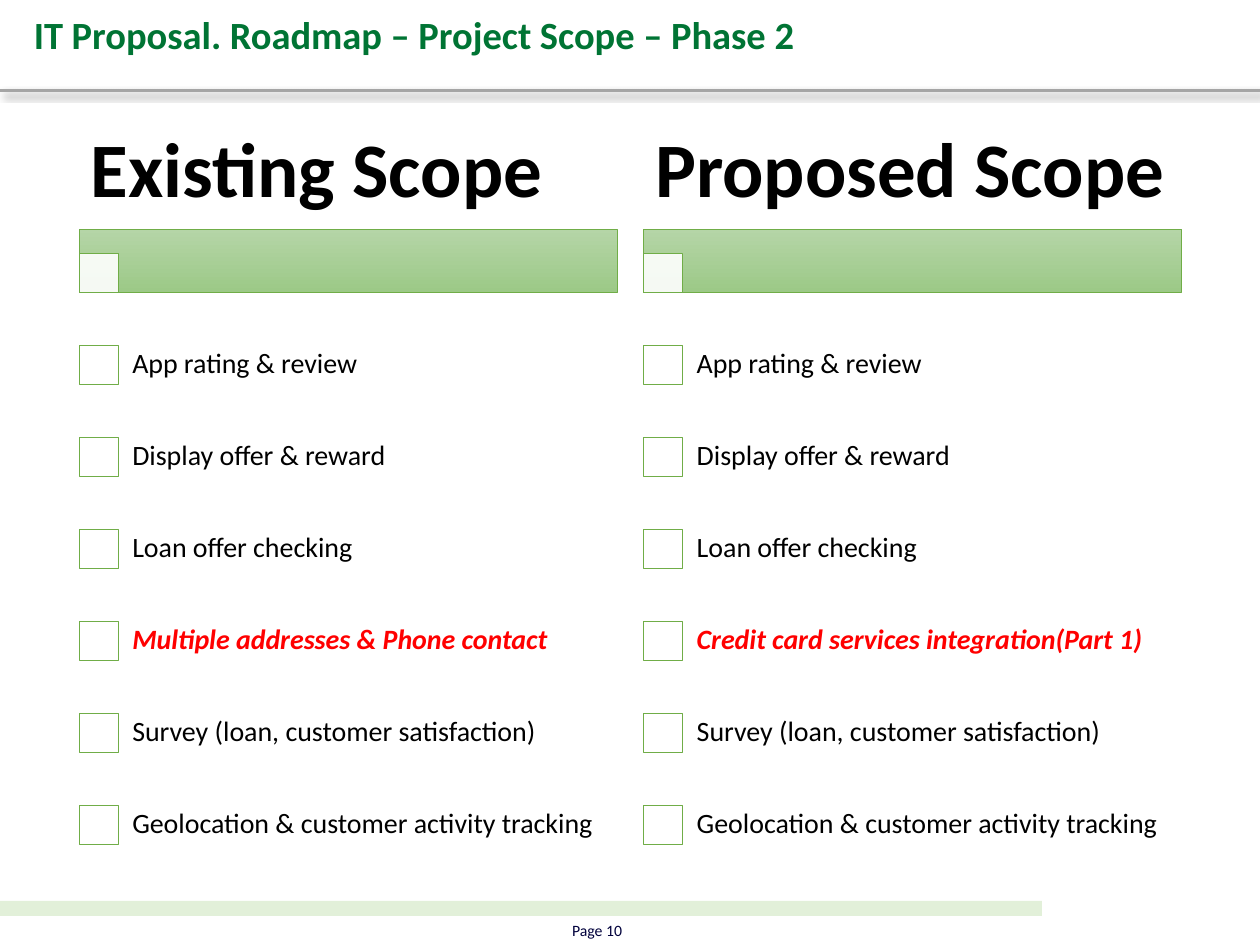
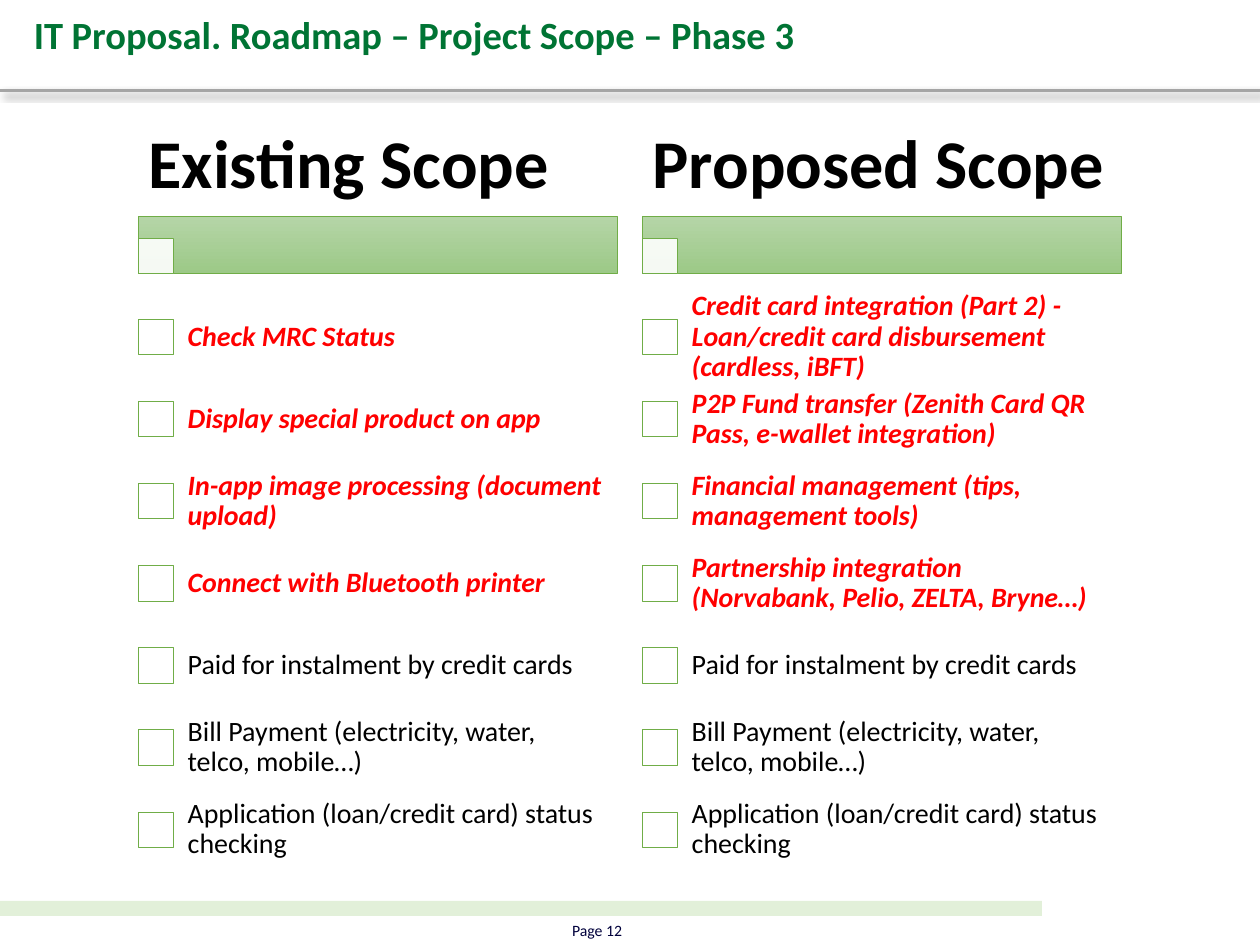
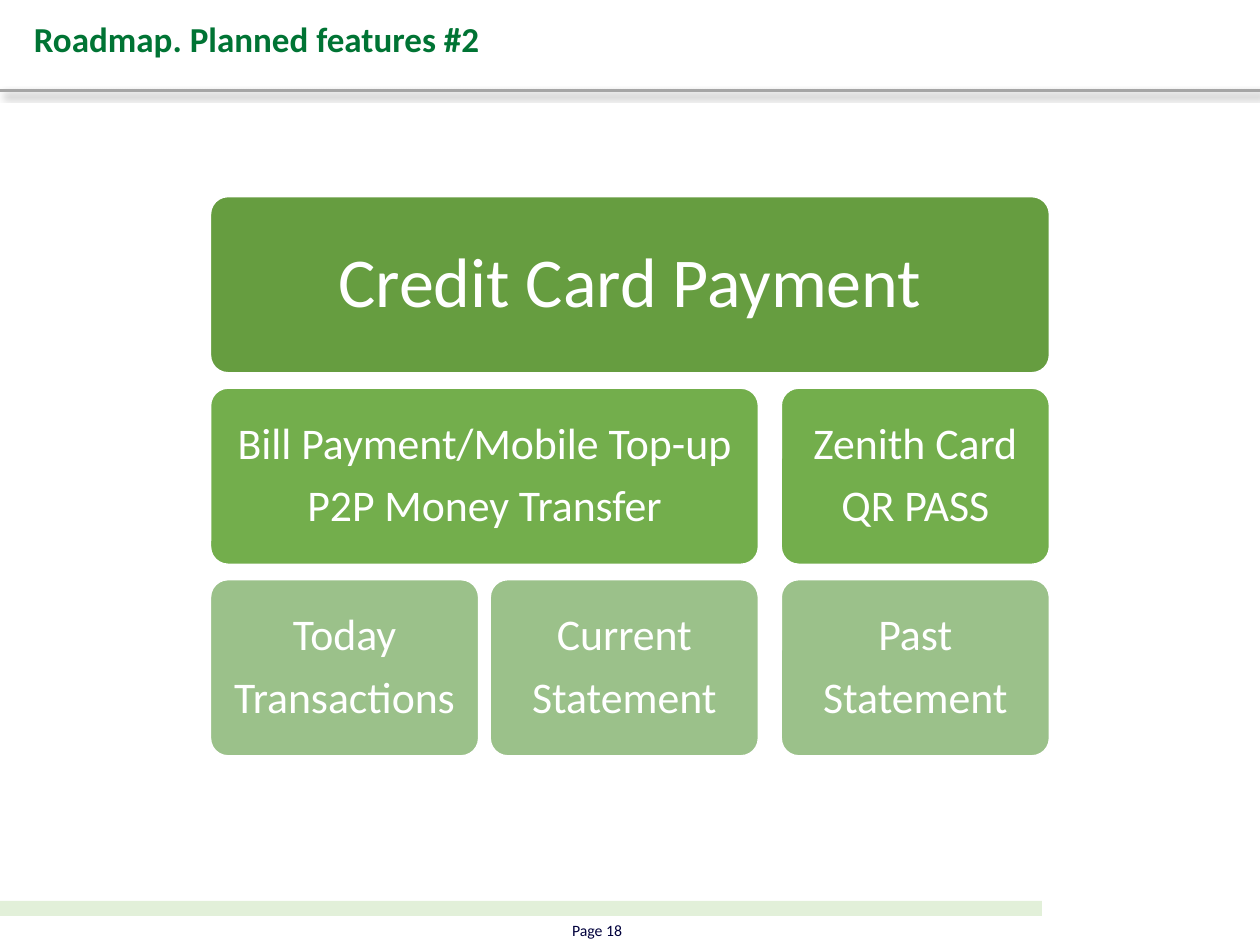
from dataclasses import dataclass

from lxml import etree
from pptx import Presentation
from pptx.dml.color import RGBColor
from pptx.enum.shapes import MSO_CONNECTOR, MSO_SHAPE
from pptx.enum.text import MSO_ANCHOR, PP_ALIGN
from pptx.oxml.ns import qn
from pptx.util import Inches, Pt

RECTANGLE = MSO_SHAPE.RECTANGLE
ROUNDED = MSO_SHAPE.ROUNDED_RECTANGLE
STRAIGHT = MSO_CONNECTOR.STRAIGHT
MIDDLE = MSO_ANCHOR.MIDDLE
LEFT, CENTER = PP_ALIGN.LEFT, PP_ALIGN.CENTER


@dataclass(frozen=True)
class Theme:
    font: str = "Calibri"
    title: str = "007434"
    page_number: str = "00003C"
    footer_band: str = "E2F0D9"
    rule: str = "A5A5A5"
    shadow: str = "000000"
    text: str = "000000"
    highlight: str = "FF0000"
    white: str = "FFFFFF"
    outline: str = "70AD47"
    bar_top: str = "B5D5A7"
    bar_bottom: str = "9CC987"
    tiers: tuple = ("669D40", "73AE4C", "9BC18A")
    title_size: int = 22
    small_title_size: int = 20
    item_size: int = 16
    page_number_size: int = 9
    feature_size: int = 25
    main_feature_size: int = 40


THEME = Theme()


@dataclass(frozen=True)
class ScopeLayout:
    lefts: tuple
    width: float
    heading_height: float
    heading_size: int
    heading_insets: tuple
    bar_height: float
    check_size: float
    text_offset: float
    list_top: float
    top: float = 0.92
    list_bottom: float = 6.91


WIDE_LAYOUT = ScopeLayout((0.63, 5.11), 4.27, 0.9, 44, (0.09, 0.06), 0.5, 0.31, 0.3, 2.53)
COMPACT_LAYOUT = ScopeLayout((1.1, 5.1), 3.8, 0.8, 39, (0.08, 0.05), 0.45, 0.28, 0.27, 2.35)

# Each item is its text and whether it is highlighted
PHASE_2_START = [
    ("App rating & review", False),
    ("Display offer & reward", False),
    ("Loan offer checking", False),
]
PHASE_2_END = [
    ("Survey (loan, customer satisfaction)", False),
    ("Geolocation & customer activity tracking", False),
]
PHASE_2 = {
    "Existing Scope": PHASE_2_START + [("Multiple addresses & Phone contact", True)] + PHASE_2_END,
    "Proposed Scope": PHASE_2_START + [("Credit card services integration(Part 1)", True)] + PHASE_2_END,
}
PHASE_3_END = [
    ("Paid for instalment by credit cards", False),
    ("Bill Payment (electricity, water, telco, mobile…)", False),
    ("Application (loan/credit card) status checking", False),
]
PHASE_3 = {
    "Existing Scope": [
        ("Check MRC Status", True),
        ("Display special product on app", True),
        ("In-app image processing (document upload)", True),
        ("Connect with Bluetooth printer", True),
    ] + PHASE_3_END,
    "Proposed Scope": [
        ("Credit card integration (Part 2) - Loan/credit card disbursement (cardless, iBFT)", True),
        ("P2P Fund transfer (Zenith Card QR Pass, e-wallet integration)", True),
        ("Financial management (tips, management tools)", True),
        ("Partnership integration (Norvabank, Pelio, ZELTA, Bryne…)", True),
    ] + PHASE_3_END,
}

# Each feature is its tier, first column, last column and lines
FEATURES = [
    (0, 0, 2, ["Credit Card Payment"]),
    (1, 0, 1, ["Bill Payment/Mobile Top-up", "P2P Money Transfer"]),
    (1, 2, 2, ["Zenith Card", "QR PASS"]),
    (2, 0, 0, ["Today", "Transactions"]),
    (2, 1, 1, ["Current", "Statement"]),
    (2, 2, 2, ["Past", "Statement"]),
]


def color(value):
    return RGBColor.from_string(value)


def write_text(box, lines, *, size, ink, bold=False, italic=False, align=LEFT,
               spacing=0.9, insets=(0.1, 0.05)):
    frame = box.text_frame
    frame.word_wrap = True
    frame.vertical_anchor = MIDDLE
    frame.margin_left = frame.margin_right = Inches(insets[0])
    frame.margin_top = frame.margin_bottom = Inches(insets[1])
    for index, line in enumerate(lines):
        para = frame.add_paragraph() if index else frame.paragraphs[0]
        para.alignment = align
        para.line_spacing = spacing
        if index < len(lines) - 1:
            para.space_after = Pt(size * 0.35)
        span = para.add_run()
        span.text = line
        span.font.name = THEME.font
        span.font.size = Pt(size)
        span.font.bold = bold
        span.font.italic = italic
        span.font.color.rgb = color(ink)


def add_text(page, text, left, top, width, height, **text_format):
    box = page.shapes.add_textbox(Inches(left), Inches(top), Inches(width), Inches(height))
    write_text(box, [text], **text_format)


def add_box(page, left, top, width, height, *, fill=None, line=None, line_width=0.5,
            kind=RECTANGLE):
    box = page.shapes.add_shape(kind, Inches(left), Inches(top), Inches(width), Inches(height))
    box.shadow.inherit = False
    if fill:
        box.fill.solid()
        box.fill.fore_color.rgb = color(fill)
    if line:
        box.line.color.rgb = color(line)
        box.line.width = Pt(line_width)
    else:
        box.line.fill.background()
    return box


def add_alpha(color_element, percent):
    etree.SubElement(color_element, qn("a:alpha"), val=str(percent * 1000))


def add_title_rule(page):
    rule = page.shapes.add_connector(STRAIGHT, 0, Inches(0.72), Inches(10), Inches(0.72))
    rule.line.color.rgb = color(THEME.rule)
    rule.line.width = Pt(1.5)
    effects = etree.SubElement(rule._element.spPr, qn("a:effectLst"))
    shadow = etree.SubElement(
        effects, qn("a:outerShdw"), blurRad=str(Pt(4)), dist=str(Pt(3)),
        dir=str(45 * 60000), algn="tl", rotWithShape="0")
    add_alpha(etree.SubElement(shadow, qn("a:srgbClr"), val=THEME.shadow), 40)


def add_page(deck, title, number, *, title_size=THEME.title_size, title_height=0.43):
    page = deck.slides.add_slide(deck.slide_layouts[6])
    add_box(page, 0, 7.15, 8.27, 0.12, fill=THEME.footer_band)
    add_text(page, title, 0.17, 0.08, 8.62, title_height,
             size=title_size, ink=THEME.title, bold=True)
    add_title_rule(page)
    add_text(page, f"Page {number}", 4.5, 7.26, 0.55, 0.24, size=THEME.page_number_size,
             ink=THEME.page_number, spacing=1.0, insets=(0.04, 0))
    return page


def add_checkbox(page, left, top, size):
    return add_box(page, left, top, size, size, fill=THEME.white, line=THEME.outline)


def add_heading_bar(page, left, layout):
    top = layout.top + layout.heading_height
    bar = add_box(page, left, top, layout.width, layout.bar_height, line=THEME.outline)
    bar.fill.gradient()
    bar.fill.gradient_angle = 270
    for stop, shade in zip(bar.fill.gradient_stops, (THEME.bar_top, THEME.bar_bottom)):
        stop.color.rgb = color(shade)
    check = add_checkbox(page, left, top + layout.bar_height - layout.check_size,
                         layout.check_size)
    add_alpha(check._element.spPr.find(qn("a:solidFill"))[0], 90)


def add_scope_column(page, left, heading, items, layout):
    add_heading_bar(page, left, layout)
    add_text(page, heading, left, layout.top, layout.width, layout.heading_height,
             size=layout.heading_size, ink=THEME.text, bold=True,
             insets=layout.heading_insets)
    row_height = (layout.list_bottom - layout.list_top) / len(items)
    for index, (item, highlighted) in enumerate(items):
        top = layout.list_top + index * row_height
        add_checkbox(page, left, top + (row_height - layout.check_size) / 2, layout.check_size)
        add_text(page, item, left + layout.text_offset, top,
                 layout.width - layout.text_offset, row_height, size=THEME.item_size,
                 ink=THEME.highlight if highlighted else THEME.text,
                 bold=highlighted, italic=highlighted, insets=(0.12, 0.12))


def add_scope_page(deck, phase, number, columns, layout):
    page = add_page(deck, f"IT Proposal. Roadmap – Project Scope – Phase {phase}", number)
    for left, (heading, items) in zip(layout.lefts, columns.items()):
        add_scope_column(page, left, heading, items, layout)


def add_features_page(deck):
    page = add_page(deck, "Roadmap. Planned features #2", 18,
                    title_size=THEME.small_title_size, title_height=0.5)
    column_lefts, column_width = (1.67, 3.89, 6.2), 2.13
    first_top, height, gap = 1.56, 1.4, 0.12
    for tier, first, last, lines in FEATURES:
        left = column_lefts[first]
        width = column_lefts[last] + column_width - left
        box = add_box(page, left, first_top + tier * (height + gap), width, height,
                      fill=THEME.tiers[tier], line=THEME.white, line_width=1, kind=ROUNDED)
        box.adjustments[0] = 0.1
        size = THEME.feature_size if tier else THEME.main_feature_size
        write_text(box, lines, size=size, ink=THEME.white, align=CENTER, insets=(0.1, 0.1))


def main():
    deck = Presentation()
    deck.slide_width, deck.slide_height = Inches(10), Inches(7.5)
    add_scope_page(deck, 2, 10, PHASE_2, WIDE_LAYOUT)
    add_scope_page(deck, 3, 12, PHASE_3, COMPACT_LAYOUT)
    add_features_page(deck)
    deck.save("out.pptx")


if __name__ == "__main__":
    main()
